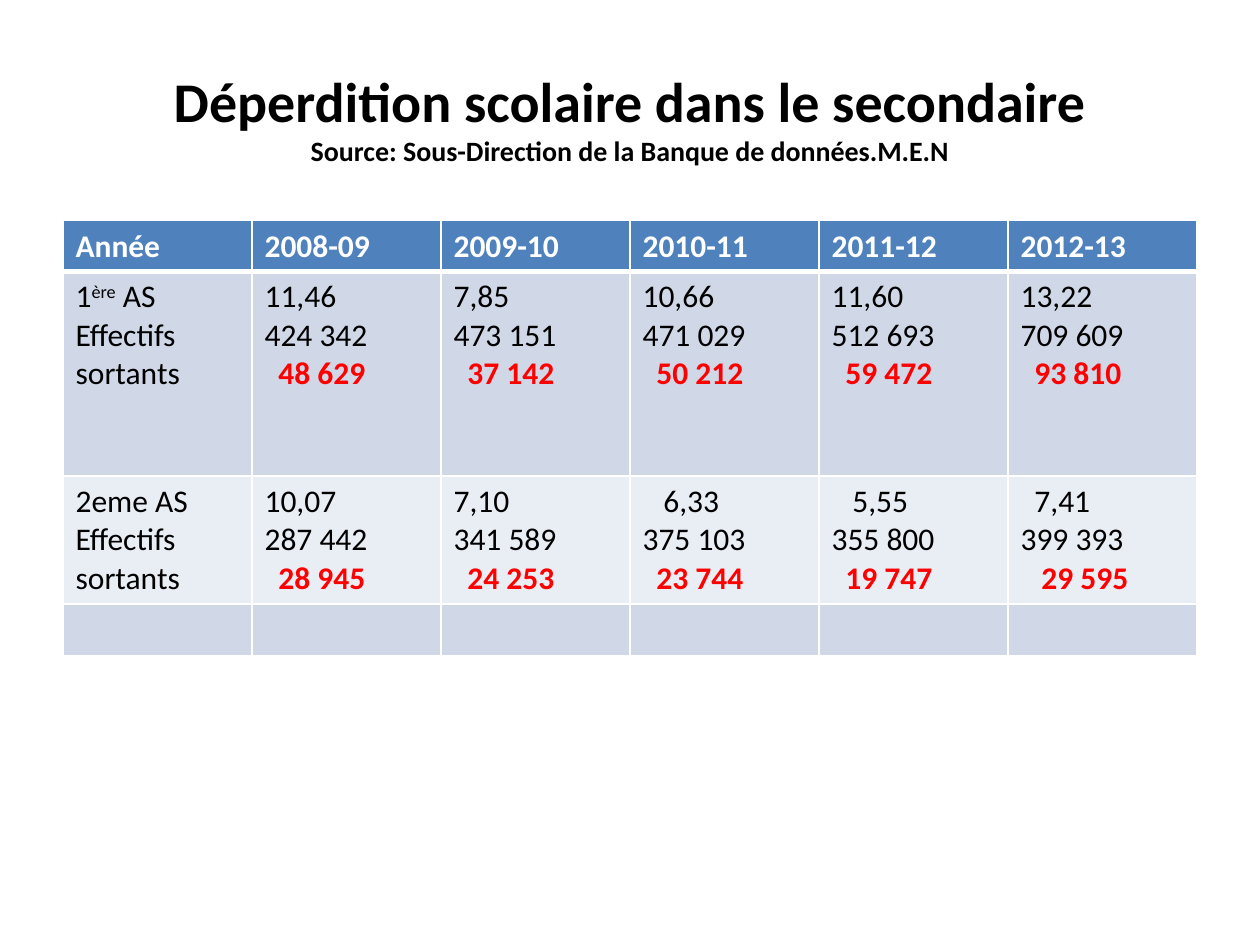
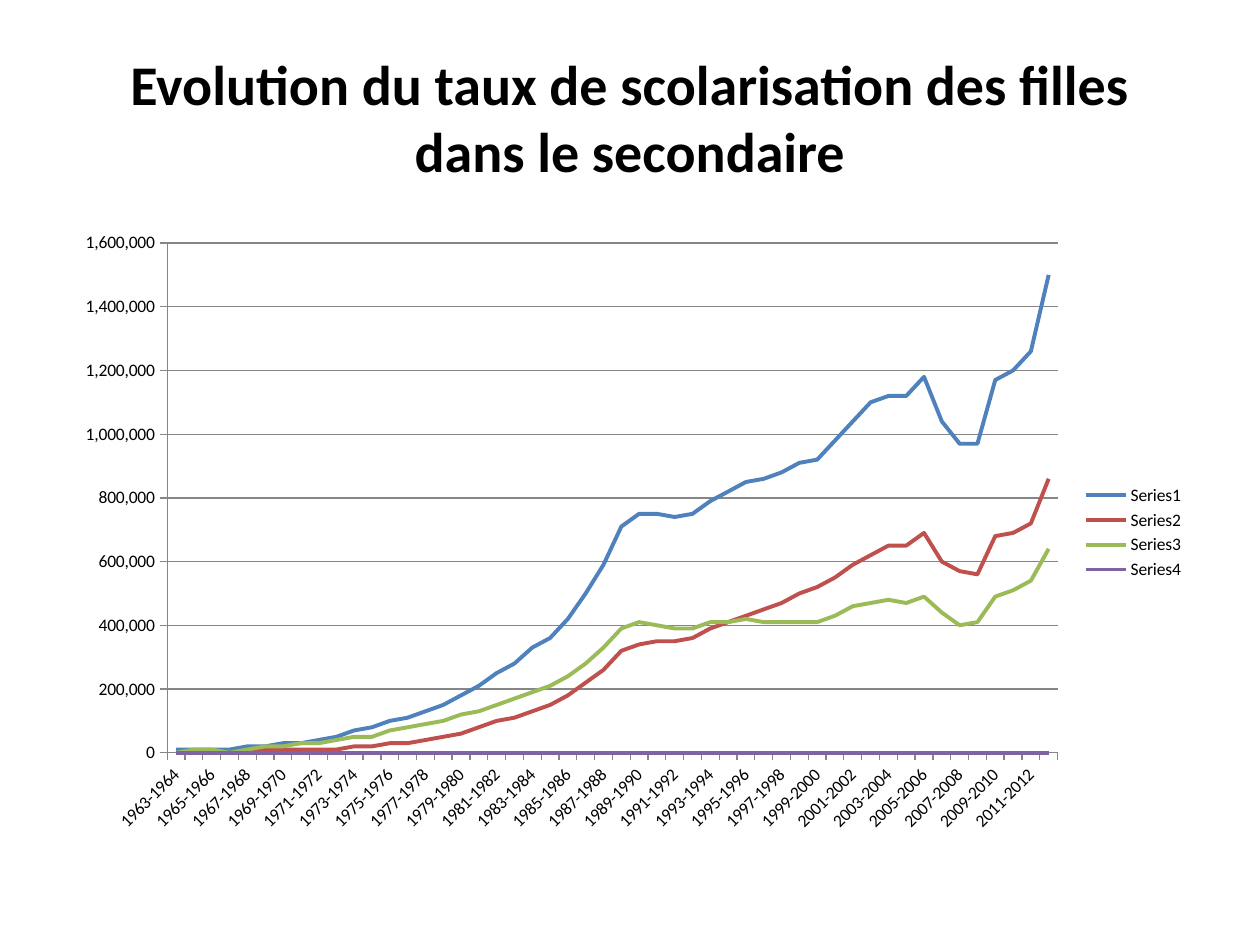
"""Build two slides on dropout and girls' enrolment in secondary school."""
from dataclasses import dataclass
from typing import NamedTuple

import lxml.etree
import pptx
import pptx.chart.data
import pptx.dml.color
import pptx.enum.chart
import pptx.enum.text
import pptx.oxml.ns
import pptx.util

Cm = pptx.util.Cm
Pt = pptx.util.Pt
qn = pptx.oxml.ns.qn

FONT = "Calibri"
BLACK, WHITE, RED = "000000", "FFFFFF", "FF0000"
HEADER, BAND_DARK, BAND_LIGHT = "4F81BD", "D0D8E8", "E9EDF4"
GRID = "868686"
LEFT, WIDTH = Cm(1.27), Cm(22.86)
BODY_TOP = Cm(4.45)
SPACE_WIDTH = 0.14


@dataclass
class Run:
    """A piece of text with its look."""
    text: str
    size: float = 18
    color: str = BLACK
    bold: bool = False
    raised: bool = False


class Figures(NamedTuple):
    """Rate, enrolment and leavers of one year, with indents in spaces."""
    rate: str
    enrolled: str
    leavers: str
    rate_indent: int = 0
    leavers_indent: int = 2


class Level(NamedTuple):
    """One table row: a school level and its yearly figures."""
    name: list[Run]
    height: float
    fill: str
    years: list[Figures]


class Curve(NamedTuple):
    """One chart line, with values in tens of thousands."""
    name: str
    color: str
    values: list[int | None]


YEARS = ["2008-09", "2009-10", "2010-11", "2011-12", "2012-13"]
HEADER_HEIGHT, LAST_HEIGHT = 1.02, 1.03
LEVELS = [
    Level([Run("1"), Run("ère", raised=True), Run(" AS")], 4.13, BAND_DARK, [
        Figures("11,46", "424 342", "48 629"),
        Figures("7,85", "473 151", "37 142"),
        Figures("10,66", "471 029", "50 212"),
        Figures("11,60", "512 693", "59 472"),
        Figures("13,22", "709 609", "93 810"),
    ]),
    Level([Run("2eme AS")], 2.58, BAND_LIGHT, [
        Figures("10,07", "287 442", "28 945"),
        Figures("7,10", "341 589", "24 253"),
        Figures("6,33", "375 103", "23 744", 3),
        Figures("5,55", "355 800", "19 747", 3),
        Figures("7,41", "399 393", "29 595", 2, 3),
    ]),
]

SCHOOL_YEARS = [f"{y}-{y + 1}" for y in range(1963, 2013)]
UNIT = 10000
CURVES = [
    Curve("Series1", "4F81BD", [
        1, 1, 1, 1, 2, 2, 3, 3, 4, 5, 7, 8, 10, 11, 13, 15, 18, 21, 25, 28,
        33, 36, 42, 50, 59, 71, 75, 75, 74, 75, 79, 82, 85, 86, 88, 91, 92,
        98, 104, 110, 112, 112, 118, 104, 97, 97, 117, 120, 126, 150]),
    Curve("Series2", "C0504D", [
        0, 0, 0, None, 0, 1, 1, 1, 1, 1, 2, 2, 3, 3, 4, 5, 6, 8, 10, 11,
        13, 15, 18, 22, 26, 32, 34, 35, 35, 36, 39, 41, 43, 45, 47, 50, 52,
        55, 59, 62, 65, 65, 69, 60, 57, 56, 68, 69, 72, 86]),
    Curve("Series3", "9BBB59", [
        0, 1, 1, 0, 1, 2, 2, 3, 3, 4, 5, 5, 7, 8, 9, 10, 12, 13, 15, 17,
        19, 21, 24, 28, 33, 39, 41, 40, 39, 39, 41, 41, 42, 41, 41, 41, 41,
        43, 46, 47, 48, 47, 49, 44, 40, 41, 49, 51, 54, 64]),
    Curve("Series4", "8064A2", [0] * len(SCHOOL_YEARS)),
]


def rgb(color: str) -> pptx.dml.color.RGBColor:
    """Turn a hex string into a colour."""
    return pptx.dml.color.RGBColor.from_string(color)


def add_run(p, run: Run) -> None:
    """Append one run to a paragraph."""
    r = p.add_run()
    r.text = run.text
    r.font.name, r.font.size, r.font.bold = FONT, Pt(run.size), run.bold
    r.font.color.rgb = rgb(run.color)
    if run.raised:
        r.font._element.set("baseline", "30000")


def add_title(s, *lines: Run) -> None:
    """Draw the slide title, one run a line."""
    tf = s.shapes.add_textbox(LEFT, Cm(0.76), WIDTH, Cm(3.18)).text_frame
    tf.word_wrap = True
    tf.vertical_anchor = pptx.enum.text.MSO_ANCHOR.MIDDLE
    p = tf.paragraphs[0]
    p.alignment = pptx.enum.text.PP_ALIGN.CENTER
    for i, line in enumerate(lines):
        if i:
            p.add_line_break()
        add_run(p, line)


def style_cell(cell, fill: str, top: float = 1, bottom: float = 1) -> None:
    """Give a cell white borders and a solid fill."""
    tc_pr = cell._tc.get_or_add_tcPr()
    for side, width in (("L", 1), ("R", 1), ("T", top), ("B", bottom)):
        ln = lxml.etree.SubElement(tc_pr, qn(f"a:ln{side}"), w=str(Pt(width)))
        solid = lxml.etree.SubElement(ln, qn("a:solidFill"))
        lxml.etree.SubElement(solid, qn("a:srgbClr"), val=WHITE)
    cell.fill.solid()
    cell.fill.fore_color.rgb = rgb(fill)


def fill_cell(cell, lines: list[list[Run]], indents: tuple[int, ...] = ()) -> None:
    """Write paragraphs into a cell, indented by a number of spaces."""
    tf = cell.text_frame
    for i, runs in enumerate(lines):
        p = tf.add_paragraph() if i else tf.paragraphs[0]
        if indents and indents[i]:
            p._p.get_or_add_pPr().set("marL", str(Cm(SPACE_WIDTH * indents[i])))
        for run in runs:
            add_run(p, run)


def add_dropout_table(s) -> None:
    """Draw the dropout table."""
    heights = [HEADER_HEIGHT, *(level.height for level in LEVELS), LAST_HEIGHT]
    table = s.shapes.add_table(len(heights), len(YEARS) + 1, LEFT, BODY_TOP,
                               WIDTH, Cm(sum(heights))).table
    table.horz_banding = False
    for row, height in zip(table.rows, heights):
        row.height = Cm(height)
    for col, heading in enumerate(["Année", *YEARS]):
        style_cell(table.cell(0, col), HEADER, bottom=3)
        fill_cell(table.cell(0, col), [[Run(heading, color=WHITE, bold=True)]])
        style_cell(table.cell(len(heights) - 1, col), BAND_DARK)
    for row, level in enumerate(LEVELS, 1):
        for col in range(len(YEARS) + 1):
            style_cell(table.cell(row, col), level.fill, top=3 if row == 1 else 1)
        fill_cell(table.cell(row, 0),
                  [level.name, [Run("Effectifs")], [Run("sortants")]])
        for col, year in enumerate(level.years, 1):
            fill_cell(table.cell(row, col),
                      [[Run(year.rate)], [Run(year.enrolled)],
                       [Run(year.leavers, color=RED, bold=True)]],
                      (year.rate_indent, 0, year.leavers_indent))


def style_line(line, color: str, width: float) -> None:
    """Set the colour and width of a line."""
    line.color.rgb = rgb(color)
    line.width = Pt(width)


def add_enrolment_chart(s) -> None:
    """Draw the enrolment line chart."""
    data = pptx.chart.data.CategoryChartData(number_format="#,##0")
    data.categories = SCHOOL_YEARS
    for curve in CURVES:
        data.add_series(curve.name, [None if v is None else v * UNIT
                                     for v in curve.values])
    chart = s.shapes.add_chart(pptx.enum.chart.XL_CHART_TYPE.LINE, LEFT, BODY_TOP,
                               WIDTH, Cm(12.57), data).chart
    chart.has_title = False
    chart.font.name, chart.font.size = FONT, Pt(10)
    chart.font.color.rgb = rgb(BLACK)
    chart.has_legend = True
    chart.legend.position = pptx.enum.chart.XL_LEGEND_POSITION.RIGHT
    chart.legend.include_in_layout = False
    for axis in (chart.category_axis, chart.value_axis):
        axis.major_tick_mark = pptx.enum.chart.XL_TICK_MARK.OUTSIDE
        style_line(axis.format.line, GRID, 0.75)
    chart.value_axis.has_major_gridlines = True
    style_line(chart.value_axis.major_gridlines.format.line, GRID, 0.75)
    chart.value_axis.tick_labels.number_format = "#,##0"
    chart.value_axis.tick_labels.number_format_is_linked = False
    plot = chart.plots[0]
    plot.vary_by_categories = False
    for series, curve in zip(plot.series, CURVES):
        series.smooth = False
        series.marker.style = pptx.enum.chart.XL_MARKER_STYLE.NONE
        style_line(series.format.line, curve.color, 2.25)


def main() -> None:
    """Build and save the presentation."""
    prs = pptx.Presentation()
    prs.slide_width, prs.slide_height = Cm(25.4), Cm(19.05)
    blank = prs.slide_layouts[6]

    s = prs.slides.add_slide(blank)
    add_title(s, Run("Déperdition scolaire dans le secondaire", 32, bold=True),
              Run("Source: Sous-Direction de la Banque de données.M.E.N", 16, bold=True))
    add_dropout_table(s)

    s = prs.slides.add_slide(blank)
    add_title(s, Run("Evolution du taux de scolarisation des filles dans le secondaire",
                     32, bold=True))
    add_enrolment_chart(s)

    prs.save("out.pptx")


if __name__ == "__main__":
    main()
